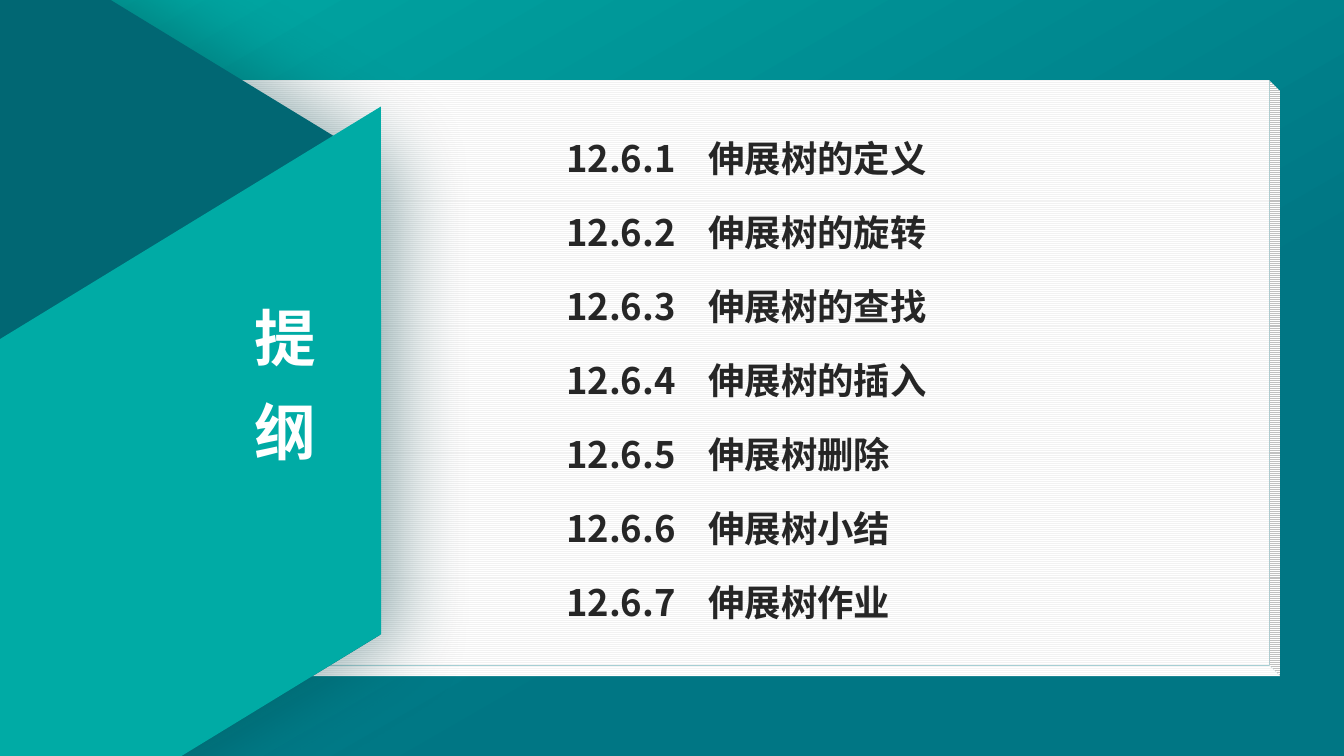
import lxml.etree
import pptx
import pptx.dml.color
import pptx.enum.dml
import pptx.enum.shapes
import pptx.enum.text
import pptx.oxml.ns
import pptx.util

Cm = pptx.util.Cm
Pt = pptx.util.Pt
qn = pptx.oxml.ns.qn
SHAPES = pptx.enum.shapes.MSO_SHAPE
FONT = "Noto Sans CJK SC"
TEAL, DEEP_TEAL, DARK_TEAL = "00ABA5", "007684", "016773"

TITLE = ["提", "纲"]
SECTIONS = ["伸展树的定义", "伸展树的旋转", "伸展树的查找", "伸展树的插入",
            "伸展树删除", "伸展树小结", "伸展树作业"]


def color(value):
    return pptx.dml.color.RGBColor.from_string(value)


def set_values(target, values):
    for name, value in values.items():
        setattr(target, name, value)


def set_gradient(fill, stops, clockwise_angle):
    fill.gradient()
    fill.gradient_angle = 360 - clockwise_angle
    for stop, (position, value) in zip(fill.gradient_stops, stops):
        stop.position = position
        stop.color.rgb = color(value)


def add_shadow(effects, value, opacity, blur, distance, angle):
    """Append an outer shadow to an effect list element."""
    shadow = lxml.etree.SubElement(
        effects, qn("a:outerShdw"), blurRad=str(Pt(blur)), dist=str(Pt(distance)),
        dir=str(angle * 60000), algn="ctr", rotWithShape="0")
    tint = lxml.etree.SubElement(shadow, qn("a:srgbClr"), val=value)
    lxml.etree.SubElement(tint, qn("a:alpha"), val=str(opacity * 1000))


def add_block(slide, kind, box, adjustments, rotation=0):
    """Add a preset shape without line or shadow."""
    shape = slide.shapes.add_shape(kind, *map(Cm, box))
    shape.shadow.inherit = False
    shape.line.fill.background()
    shape.rotation = rotation
    for index, value in enumerate(adjustments):
        shape.adjustments[index] = value
    return shape


def add_lines(slide, box, lines, line_pitch, alignment, font_values, font_color):
    """Add a text box with one evenly spaced paragraph per line."""
    frame = slide.shapes.add_textbox(*map(Cm, box)).text_frame
    set_values(frame, {"word_wrap": True, "margin_left": 0, "margin_right": 0,
                       "margin_top": 0, "margin_bottom": 0})
    for index, line in enumerate(lines):
        paragraph = frame.add_paragraph() if index else frame.paragraphs[0]
        set_values(paragraph, {"line_spacing": Pt(line_pitch), "alignment": alignment})
        run = paragraph.add_run()
        run.text = line
        set_values(run.font, {"name": FONT, "bold": True, **font_values})
        run.font.color.rgb = color(font_color)
        properties = run.font._element
        lxml.etree.SubElement(properties, qn("a:ea"), typeface=FONT)
    return frame


def add_page(slide, box):
    """Add the striped sheet with a thin edge."""
    page = add_block(slide, SHAPES.CUBE, box, [0.018])
    page._element.spPr.find(qn("a:xfrm")).set("flipV", "1")
    page.fill.patterned()
    page.fill.pattern = pptx.enum.dml.MSO_PATTERN.LIGHT_HORIZONTAL
    page.fill.fore_color.rgb = color("F2F2F2")
    page.fill.back_color.rgb = color("FFFFFF")


def add_title_ribbon(slide, box):
    """Add the folded ribbon, with the title near its right edge."""
    left, top, width, height = box
    fold = add_block(slide, SHAPES.HEXAGON,
                     (left - 15.77, top - 2.01, 26.57, 24.16), [0.305, 1.155], 90)
    set_gradient(fold.fill, [(0.77, DARK_TEAL), (1, DEEP_TEAL)], 90)
    add_shadow(fold._element.spPr.find(qn("a:effectLst")), "013F45", 40, 55, 13, 0)

    front = add_block(slide, SHAPES.PARALLELOGRAM,
                      (left - 6.96, top + 7.34, 21.06, 11.35), [0.61], 328.6)
    front.fill.solid()
    front.fill.fore_color.rgb = color(TEAL)

    frame = add_lines(slide, (left + width - 3.25, top + 7.06, 1.7, 4.72), TITLE, 67,
                      pptx.enum.text.PP_ALIGN.CENTER, {"size": Pt(44)}, "FFFFFF")
    for paragraph in frame.paragraphs:
        text_fill = paragraph.runs[0].font._element.find(qn("a:solidFill"))
        effects = lxml.etree.Element(qn("a:effectLst"))
        text_fill.addnext(effects)
        add_shadow(effects, "000000", 43, 3, 3, 45)


def add_section_list(slide, box):
    lines = [f"12.6.{number}\t{name}" for number, name in enumerate(SECTIONS, 1)]
    frame = add_lines(slide, box, lines, 52.8, pptx.enum.text.PP_ALIGN.LEFT,
                      {"size": Pt(26)}, "262626")
    for paragraph in frame.paragraphs:
        properties = paragraph._p.get_or_add_pPr()
        tabs = lxml.etree.SubElement(properties, qn("a:tabLst"))
        lxml.etree.SubElement(tabs, qn("a:tab"), pos=str(Cm(3.58)), algn="l")


def add_outline_slide(presentation):
    slide = presentation.slides.add_slide(presentation.slide_layouts[6])
    set_gradient(slide.background.fill, [(0, TEAL), (0.67, DEEP_TEAL)], 60)
    add_page(slide, (0, 2.03, 32.26, 15.01))
    add_title_ribbon(slide, (0, 0, 9.6, 19.05))
    add_section_list(slide, (14.27, 2.67, 14.5, 13.03))


def main():
    presentation = pptx.Presentation()
    set_values(presentation, {"slide_width": Cm(33.87), "slide_height": Cm(19.05)})
    add_outline_slide(presentation)
    presentation.save("out.pptx")


if __name__ == "__main__":
    main()
